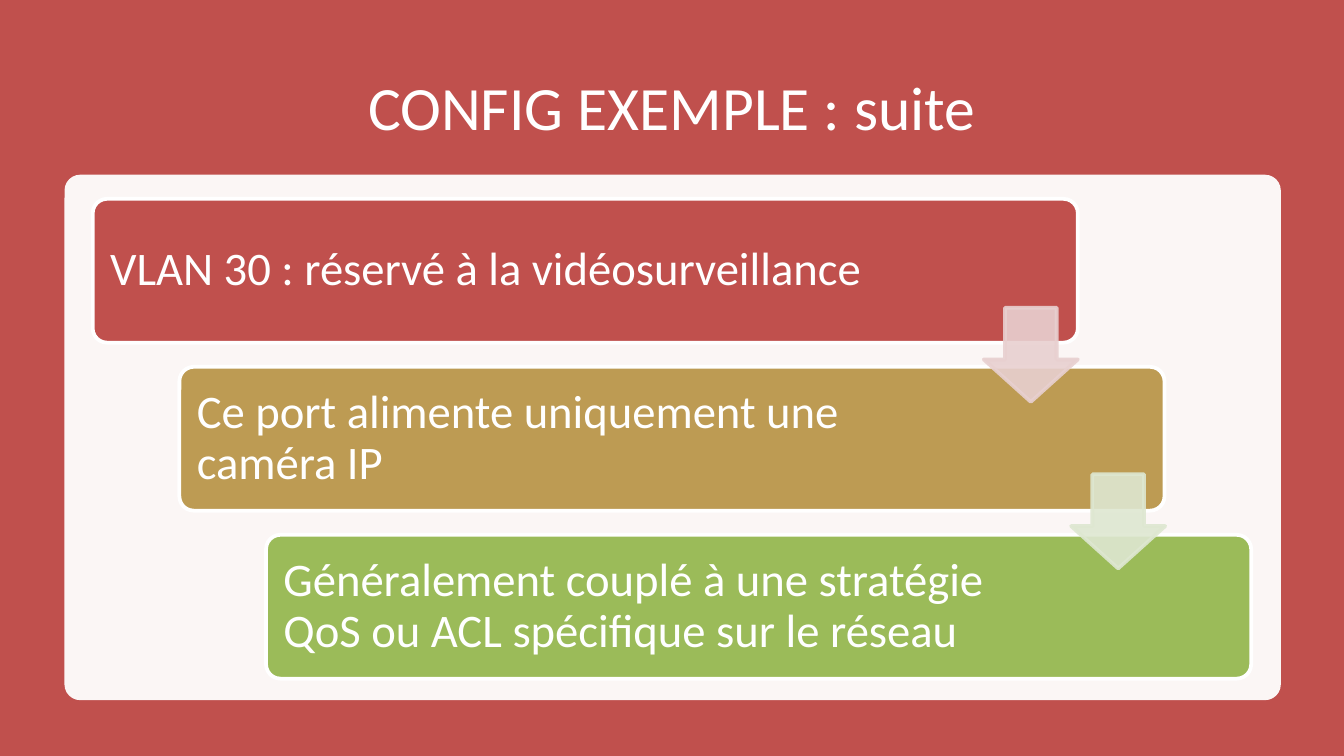
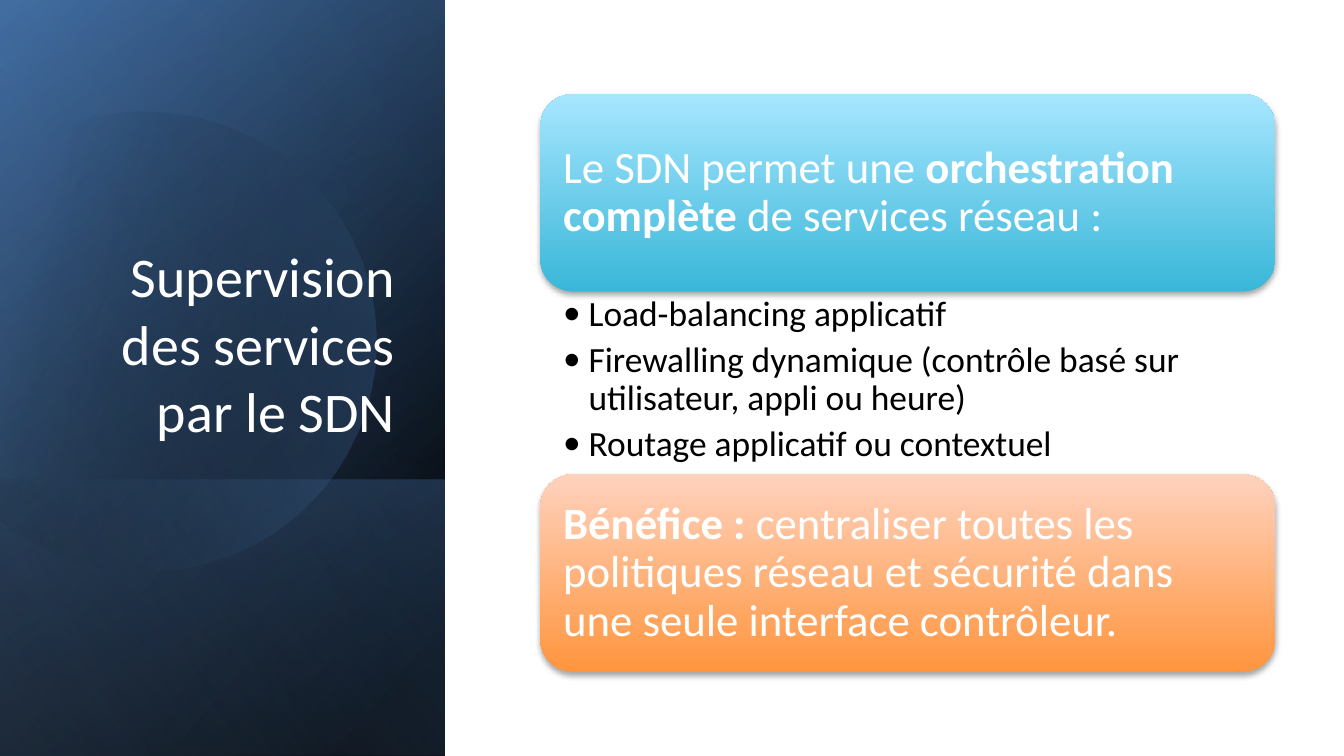
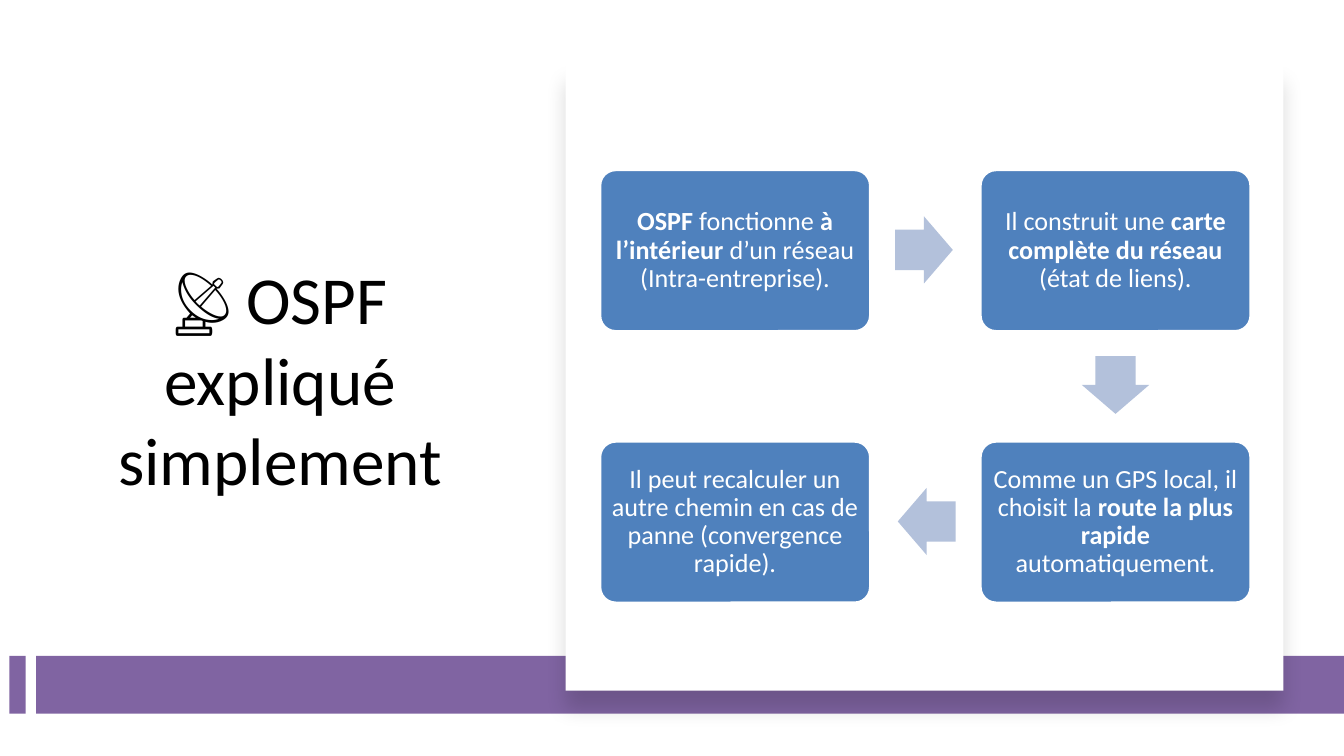
"""Build three network-training slides: VLAN example, SDN services and OSPF."""
from dataclasses import dataclass
from math import cos, radians, sin

from lxml.etree import SubElement
from pptx import Presentation
from pptx.dml.color import RGBColor as RGB
from pptx.enum.shapes import MSO_SHAPE as SHAPE
from pptx.enum.text import MSO_ANCHOR as ANCHOR, MSO_AUTO_SIZE as AUTO, PP_ALIGN as ALIGN
from pptx.oxml.ns import qn
from pptx.util import Inches, Pt

WIDTH = 10
HEIGHT = WIDTH * 9 / 16


@dataclass(frozen=True)
class Theme:
    font: str = "Calibri"
    white: str = "FFFFFF"
    black: str = "000000"
    red: str = "C0504D"
    gold: str = "BD9B53"
    green: str = "9BBB59"
    pale_red: str = "E8D0D0"
    pale_green: str = "DEE7D1"
    blue: str = "4F81BD"
    deep_blue: str = "376092"
    light_blue: str = "95B3D7"
    arrow_blue: str = "B3C1DB"
    purple: str = "8064A2"
    cyan: tuple = ((0, "39B7D8", 100), (100, "A7E6FF", 100))
    orange: tuple = ((0, "FF953E", 100), (100, "FFD2BD", 100))
    title: int = 33
    side_title: int = 30
    large_title: int = 36
    step: int = 25
    card: int = 24
    bullet: int = 19
    box: int = 14


class Deck:
    """Hold the theme and the current slide, and draw each kind of element."""

    def __init__(self, theme):
        self.t = theme
        self.prs = Presentation()
        self.prs.slide_width, self.prs.slide_height = Inches(WIDTH), Inches(HEIGHT)
        self.s = None

    def slide(self):
        self.s = self.prs.slides.add_slide(self.prs.slide_layouts[5])

    def title(self, text, box, size, color, align=ALIGN.CENTER, anchor=ANCHOR.MIDDLE):
        sp = self.s.shapes.title
        sp.element.getparent().append(sp.element)
        sp.left, sp.top, sp.width, sp.height = map(Inches, box)
        tf = sp.text_frame
        tf.auto_size, tf.vertical_anchor = AUTO.NONE, anchor
        tf.paragraphs[0].alignment = align
        self.runs(tf.paragraphs[0], [(text, False)], size, color)

    def runs(self, p, parts, size, color):
        for text, bold in parts:
            r = p.add_run()
            r.text = text
            r.font.name, r.font.size, r.font.bold = self.t.font, Pt(size), bold
            r.font.color.rgb = RGB.from_string(color)

    def text(self, sp, paragraphs, size, color, insets, align=ALIGN.LEFT,
             anchor=ANCHOR.MIDDLE, bullets=False):
        tf = sp.text_frame
        tf.word_wrap, tf.vertical_anchor = True, anchor
        tf.margin_left, tf.margin_top, tf.margin_right, tf.margin_bottom = map(Inches, insets)
        for i, parts in enumerate(paragraphs):
            p = tf.add_paragraph() if i else tf.paragraphs[0]
            p.alignment, p.line_spacing = align, 0.9
            if bullets:
                p.level, p.space_after = 1, Pt(4)
                pPr = p._p.get_or_add_pPr()
                pPr.set("marL", str(Inches(0.19)))
                pPr.set("indent", str(-Inches(0.19)))
                SubElement(pPr, qn("a:buFont"), typeface=self.t.font)
                SubElement(pPr, qn("a:buChar"), char="•")
            self.runs(p, parts, size, color)

    def opacity(self, parent, percent):
        for clr in parent.iter(qn("a:srgbClr")):
            SubElement(clr, qn("a:alpha"), val=str(percent * 1000))

    def gradient(self, sp, stops, angle):
        sp.fill.gradient()
        sp.fill.gradient_angle = (360 - angle) % 360
        for stop, (pos, color, alpha) in zip(sp.fill.gradient_stops, stops):
            stop.position = pos / 100
            stop.color.rgb = RGB.from_string(color)
        for gs, (pos, color, alpha) in zip(sp.element.spPr.iter(qn("a:gs")), stops):
            if alpha < 100:
                self.opacity(gs, alpha)

    def shape(self, kind, box, fill=None, line=None, adj=(), alpha=100, turn=0, flip=False):
        x, y, w, h = box
        if turn in (90, 270):
            x, y, w, h = x + (w - h) / 2, y + (h - w) / 2, h, w
        sp = self.s.shapes.add_shape(kind, *map(Inches, (x, y, w, h)))
        sp.shadow.inherit = False
        sp.rotation = turn
        if flip:
            sp.element.spPr.find(qn("a:xfrm")).set("flipH", "1")
        for i, value in enumerate(adj):
            sp.adjustments[i] = value
        if fill:
            sp.fill.solid()
            sp.fill.fore_color.rgb = RGB.from_string(fill)
        if line:
            sp.line.color.rgb = RGB.from_string(line)
            sp.line.width = Pt(2)
        else:
            sp.line.fill.background()
        if alpha < 100:
            self.opacity(sp.element.spPr, alpha)
        return sp

    def shadow(self, sp, alpha, blur, dist):
        effects = sp.element.spPr.find(qn("a:effectLst"))
        outer = SubElement(effects, qn("a:outerShdw"), blurRad=str(Pt(blur)),
                           dist=str(Pt(dist)), dir="5400000", algn="ctr", rotWithShape="0")
        SubElement(outer, qn("a:srgbClr"), val=self.t.black)
        self.opacity(outer, alpha)

    def side_layer(self, box, stops, angle):
        sp = self.shape(SHAPE.RECTANGLE, box, turn=90, flip=True)
        self.gradient(sp, stops, angle)

    def curve(self, start, segments, center, turn, stops, angle):
        points, here = [start], start
        for seg in segments:
            if len(seg) == 1:
                points.append(seg[0])
            else:
                a, b, c = seg
                for u in (k / 16 for k in range(1, 17)):
                    v = 1 - u
                    points.append(tuple(
                        v**3 * p0 + 3 * v * v * u * p1 + 3 * v * u * u * p2 + u**3 * p3
                        for p0, p1, p2, p3 in zip(here, a, b, c)))
            here = seg[-1]
        cx, cy = center
        co, si = cos(radians(turn)), sin(radians(turn))
        level = [(Inches(cx + (x - cx) * co + (y - cy) * si),
                  Inches(cy - (x - cx) * si + (y - cy) * co)) for x, y in points]
        fb = self.s.shapes.build_freeform(*level[0])
        fb.add_line_segments(level[1:], close=True)
        sp = fb.convert_to_shape()
        sp.rotation = turn
        sp.shadow.inherit = False
        sp.line.fill.background()
        self.gradient(sp, stops, angle)

    def card(self, y, stops, parts):
        sp = self.shape(SHAPE.ROUNDED_RECTANGLE, (4.02, y, 5.47, 1.47))
        self.gradient(sp, stops, 270)
        self.shadow(sp, 35, 3.1, 1.8)
        self.text(sp, [parts], self.t.card, self.t.white, (0.1,) * 4)

    def bullets(self, box, items):
        sp = self.s.shapes.add_textbox(*map(Inches, box))
        self.text(sp, [[(item, False)] for item in items], self.t.bullet, self.t.black,
                  (0.17, 0.03, 0.19, 0.03), anchor=ANCHOR.TOP, bullets=True)


def vlan_slide(d):
    """Draw the staircase of VLAN steps."""
    t = d.t
    d.slide()
    d.shape(SHAPE.RECTANGLE, (0, 0, WIDTH, HEIGHT), t.red)
    d.title("CONFIG EXEMPLE : suite", (0.69, 0.38, 8.62, 0.82), t.title, t.white)
    d.shape(SHAPE.ROUNDED_RECTANGLE, (0.48, 1.3, 9.05, 3.91), t.white, adj=[0.03], alpha=95)
    steps = [
        ("VLAN 30 : réservé à la vidéosurveillance", t.red, 1.19),
        ("Ce port alimente uniquement une caméra IP", t.gold, 1.44),
        ("Généralement couplé à une stratégie QoS ou ACL spécifique sur le réseau", t.green, 1.44),
    ]
    for i, (text, color, right) in enumerate(steps):
        sp = d.shape(SHAPE.ROUNDED_RECTANGLE, (0.69 + 1.29 * i / 2, 1.48 + 1.25 * i, 7.33, 1.07),
                     color, t.white, [0.1])
        d.text(sp, [[(text, False)]], t.step, t.white, (0.1, 0.1, right, 0.1))
    for i, color in enumerate((t.pale_red, t.pale_green)):
        d.shape(SHAPE.DOWN_ARROW, (7.32 + 0.65 * i, 2.29 + 1.24 * i, 0.7, 0.7),
                color, color, [0.55, 0.45], alpha=90)


def sdn_slide(d):
    """Draw the layered side panel and the SDN cards."""
    t = d.t
    d.slide()
    panel = (0, 0, 3.31, HEIGHT)
    d.side_layer(panel, [(8, t.black, 100), (100, t.deep_blue, 100)], 50)
    d.side_layer(panel, [(0, t.black, 0), (99, t.blue, 46)], 30)
    d.side_layer((0, 3.57, 3.31, 2.05), [(2, t.blue, 29), (100, t.black, 30)], 130)
    d.curve((1.11, 0.83), [
        ((1.85, 0.84), (2.51, 1.33), (2.73, 2.07)),
        ((2.99, 2.98), (2.46, 3.93), (1.55, 4.19)),
        ((0.98, 4.35), (0.4, 4.21), (-0.02, 3.86)),
        ((-0.11, 3.77),),
        ((-0.11, 1.31),),
        ((0, 1.21),),
        ((0.17, 1.07), (0.38, 0.96), (0.6, 0.89)),
        ((0.77, 0.84), (0.95, 0.82), (1.11, 0.83)),
    ], (1.19, 2.52), 343.9, [(29, t.black, 0), (100, t.blue, 43)], 30)
    d.side_layer(panel, [(0, t.black, 0), (99, t.light_blue, 11)], 120)
    d.title("Supervision des services par le SDN", (0.48, 1.38, 2.56, 1.97),
            t.side_title, t.white, ALIGN.RIGHT, ANCHOR.BOTTOM)
    d.card(0.7, t.cyan, [("Le SDN permet une ", False), ("orchestration complète", True),
                         (" de services réseau :", False)])
    d.bullets((4.02, 2.17, 5.47, 1.36), [
        "Load-balancing applicatif",
        "Firewalling dynamique (contrôle basé sur utilisateur, appli ou heure)",
        "Routage applicatif ou contextuel",
    ])
    d.card(3.53, t.orange, [
        ("Bénéfice :", True),
        (" centraliser toutes les politiques réseau et sécurité dans une seule "
         "interface contrôleur.", False)])


def ospf_slide(d):
    """Draw the four OSPF boxes joined by arrows."""
    t = d.t
    d.slide()
    d.title("📡 OSPF expliqué simplement", (0.53, 0.9, 3.11, 3.83), t.large_title, t.black)
    d.shape(SHAPE.RECTANGLE, (0.07, 4.88, 0.12, 0.43), t.purple, turn=90)
    d.shape(SHAPE.RECTANGLE, (0.27, 4.88, 9.73, 0.43), t.purple, turn=270, flip=True)
    sheet = d.shape(SHAPE.RECTANGLE, (4.21, 0.48, 5.34, 4.66), t.white)
    d.shadow(sheet, 15, 11, 10)
    left, right, top, bottom = 4.46, 7.29, 1.26, 3.28
    boxes = [
        (left, top, [("OSPF", True), (" fonctionne ", False), ("à l’intérieur", True),
                     (" d’un réseau (Intra-entreprise).", False)]),
        (right, top, [("Il construit une ", False), ("carte complète du réseau", True),
                      (" (état de liens).", False)]),
        (right, bottom, [("Comme un GPS local, il choisit la ", False),
                         ("route la plus rapide", True), (" automatiquement.", False)]),
        (left, bottom, [("Il peut recalculer un autre chemin en cas de panne "
                         "(convergence rapide).", False)]),
    ]
    for x, y, parts in boxes:
        sp = d.shape(SHAPE.ROUNDED_RECTANGLE, (x, y, 2.02, 1.21), t.blue, t.white, [0.1])
        d.text(sp, [parts], t.box, t.white, (0.05,) * 4, ALIGN.CENTER)
    arrows = [((6.66, 1.61, 0.43, 0.5), 0), ((8.05, 2.65, 0.5, 0.43), 90),
              ((6.68, 3.63, 0.43, 0.5), 180)]
    for box, turn in arrows:
        d.shape(SHAPE.RIGHT_ARROW, box, t.arrow_blue, adj=[0.6, 0.5], turn=turn)


def main():
    """Build and save the deck."""
    d = Deck(Theme())
    vlan_slide(d)
    sdn_slide(d)
    ospf_slide(d)
    d.prs.save("out.pptx")


if __name__ == "__main__":
    main()
